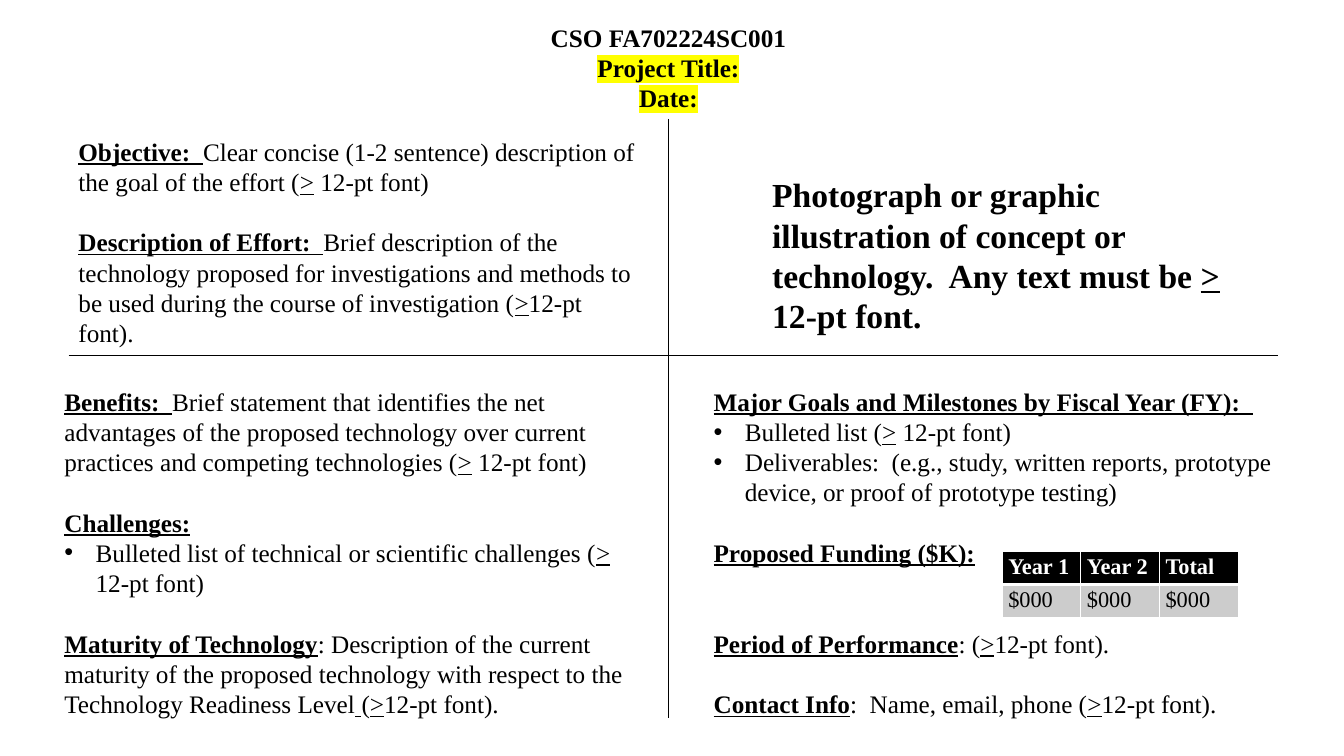
from lxml.etree import SubElement
from pptx import Presentation
from pptx.dml.color import RGBColor
from pptx.enum.shapes import MSO_CONNECTOR
from pptx.enum.text import MSO_ANCHOR, MSO_AUTO_SIZE, PP_ALIGN
from pptx.oxml.ns import qn
from pptx.util import Inches, Pt

BLACK = RGBColor(0, 0, 0)
WHITE = RGBColor(255, 255, 255)
GREY = RGBColor(204, 204, 204)
YELLOW = RGBColor(255, 255, 0)
FONT = "Times New Roman"
LINE_PITCH = 21.6

BOLD, UNDERLINE, HEADING, MARKED = "b", "u", "bu", "bh"
AT_LEAST = (">", UNDERLINE)

HEADER_LINES = [
    ("CSO FA702224SC001", BOLD),
    ("Project Title:", MARKED),
    ("Date:", MARKED),
]

# Each paragraph: runs, blank lines above, bulleted
OBJECTIVE = [
    ([("Objective:  ", HEADING),
      ("Clear concise (1-2 sentence) description of the goal of the effort (", ""),
      AT_LEAST, (" 12-pt font)", "")], 0, False),
    ([("Description of Effort:  ", HEADING),
      ("Brief description of the technology proposed for investigations and "
       "methods to be used during the course of investigation (", ""),
      AT_LEAST, ("12-pt font).", "")], 1, False),
]
ILLUSTRATION = [
    ([("Photograph or graphic illustration of concept or technology.  "
       "Any text must be ", BOLD),
      (">", HEADING), (" 12-pt font.", BOLD)], 0, False),
]
BENEFITS = [
    ([("Benefits:  ", HEADING),
      ("Brief statement that identifies the net advantages of the proposed "
       "technology over current practices and competing technologies (", ""),
      AT_LEAST, (" 12-pt font)", "")], 0, False),
    ([("Challenges:", HEADING)], 1, False),
    ([("Bulleted list of technical or scientific challenges (", ""),
      AT_LEAST, (" 12-pt font)", "")], 0, True),
    ([("Maturity of Technology", HEADING),
      (": Description of the current maturity of the proposed technology "
       "with respect to the Technology Readiness Level", ""),
      (" ", HEADING), ("(", ""), AT_LEAST, ("12-pt font).", "")], 1, False),
]
MILESTONES = [
    ([("Major Goals and Milestones by Fiscal Year (FY):  ", HEADING)], 0, False),
    ([("Bulleted list (", ""), AT_LEAST, (" 12-pt font)", "")], 0, True),
    ([("Deliverables:  (e.g., study, written reports, prototype device, "
       "or proof of prototype testing)", "")], 0, True),
    ([("Proposed Funding ($K):", HEADING)], 1, False),
    ([("Period of Performance", HEADING), (": (", ""),
      AT_LEAST, ("12-pt font).", "")], 2, False),
    ([("Contact Info", HEADING), (":  Name, email, phone (", ""),
      AT_LEAST, ("12-pt font).", "")], 1, False),
]
QUADRANTS = [
    (OBJECTIVE, (0.68, 1.3, 5.77, 2.22), 18),
    (ILLUSTRATION, (7.56, 1.68, 4.75, 1.72), 24),
    (BENEFITS, (0.54, 3.78, 5.91, 3.43), 18),
    (MILESTONES, (6.98, 3.78, 6, 3.43), 18),
]
DIVIDERS = [(6.63, 1.18, 6.63, 7.12), (0.68, 3.53, 12.68, 3.53)]
FUNDING = [("Year 1", "Year 2", "Total"), ("$000", "$000", "$000")]
FUNDING_AT = (9.94, 5.47)
COLUMN_WIDTH, ROW_HEIGHT = 0.78, 0.33


def add_text(paragraph, text, style="", size=18, color=BLACK):
    run = paragraph.add_run()
    run.text = text
    font = run.font
    font.size = Pt(size)
    font.bold = "b" in style
    font.underline = "u" in style
    font.color.rgb = color
    font.name = FONT
    if "h" in style:
        properties = run._r.get_or_add_rPr()
        highlight = SubElement(properties, qn("a:highlight"))
        SubElement(highlight, qn("a:srgbClr"), val=str(YELLOW))
        properties.find(qn("a:solidFill")).addnext(highlight)


def add_bullet(paragraph):
    properties = paragraph._p.get_or_add_pPr()
    indent = Inches(0.31)
    properties.set("marL", str(indent))
    properties.set("indent", str(-indent))
    SubElement(properties, qn("a:buFont"), typeface="Arial")
    SubElement(properties, qn("a:buChar"), char="•")


def add_quadrant(slide, paragraphs, place, size):
    frame = slide.shapes.add_textbox(*map(Inches, place)).text_frame
    frame.word_wrap = True
    frame.auto_size = MSO_AUTO_SIZE.SHAPE_TO_FIT_TEXT
    for index, (runs, blank_lines, bulleted) in enumerate(paragraphs):
        paragraph = frame.add_paragraph() if index else frame.paragraphs[0]
        if bulleted:
            add_bullet(paragraph)
        if blank_lines:
            paragraph.space_before = Pt(blank_lines * LINE_PITCH)
        for text, style in runs:
            add_text(paragraph, text, style=style, size=size)


def add_divider(slide, ends):
    divider = slide.shapes.add_connector(MSO_CONNECTOR.STRAIGHT, *map(Inches, ends))
    divider.line.color.rgb = BLACK
    divider.line.width = Pt(0.5)
    SubElement(divider._element.spPr, qn("a:effectLst"))


def add_borders(cell, bottom_width):
    properties = cell._tc.get_or_add_tcPr()
    widths = {"a:lnL": 1, "a:lnR": 1, "a:lnT": 1, "a:lnB": bottom_width}
    for position, (side, width) in enumerate(widths.items()):
        border = SubElement(properties, qn(side), w=str(Pt(width)))
        fill = SubElement(border, qn("a:solidFill"))
        SubElement(fill, qn("a:srgbClr"), val=str(WHITE))
        properties.insert(position, border)


def add_funding(slide):
    columns, rows = len(FUNDING[0]), len(FUNDING)
    size = (columns * COLUMN_WIDTH, rows * ROW_HEIGHT)
    table = slide.shapes.add_table(
        rows, columns, *map(Inches, FUNDING_AT + size)).table
    for row, values in enumerate(FUNDING):
        header = row == 0
        for column, value in enumerate(values):
            cell = table.cell(row, column)
            cell.margin_left = cell.margin_right = Inches(0.06)
            cell.margin_top = cell.margin_bottom = Inches(0.03)
            cell.fill.solid()
            cell.fill.fore_color.rgb = BLACK if header else GREY
            add_borders(cell, 3 if header else 1)
            add_text(cell.text_frame.paragraphs[0], value, size=16,
                     style=BOLD if header else "",
                     color=WHITE if header else BLACK)


def add_header(slide):
    title = slide.shapes.title
    title.left, title.top, title.width, title.height = map(
        Inches, (4.11, 0.17, 5.04, 1.01))
    frame = title.text_frame
    frame.word_wrap = True
    frame.auto_size = MSO_AUTO_SIZE.SHAPE_TO_FIT_TEXT
    frame.vertical_anchor = MSO_ANCHOR.TOP
    paragraph = frame.paragraphs[0]
    paragraph.alignment = PP_ALIGN.CENTER
    for index, (text, style) in enumerate(HEADER_LINES):
        if index:
            paragraph.add_line_break()
        add_text(paragraph, text, style=style)


def main():
    deck = Presentation()
    deck.slide_width, deck.slide_height = Inches(13.33), Inches(7.5)
    slide = deck.slides.add_slide(deck.slide_layouts[5])
    add_header(slide)
    for ends in DIVIDERS:
        add_divider(slide, ends)
    for paragraphs, place, size in QUADRANTS:
        add_quadrant(slide, paragraphs, place, size)
    add_funding(slide)
    deck.save("out.pptx")


if __name__ == "__main__":
    main()
